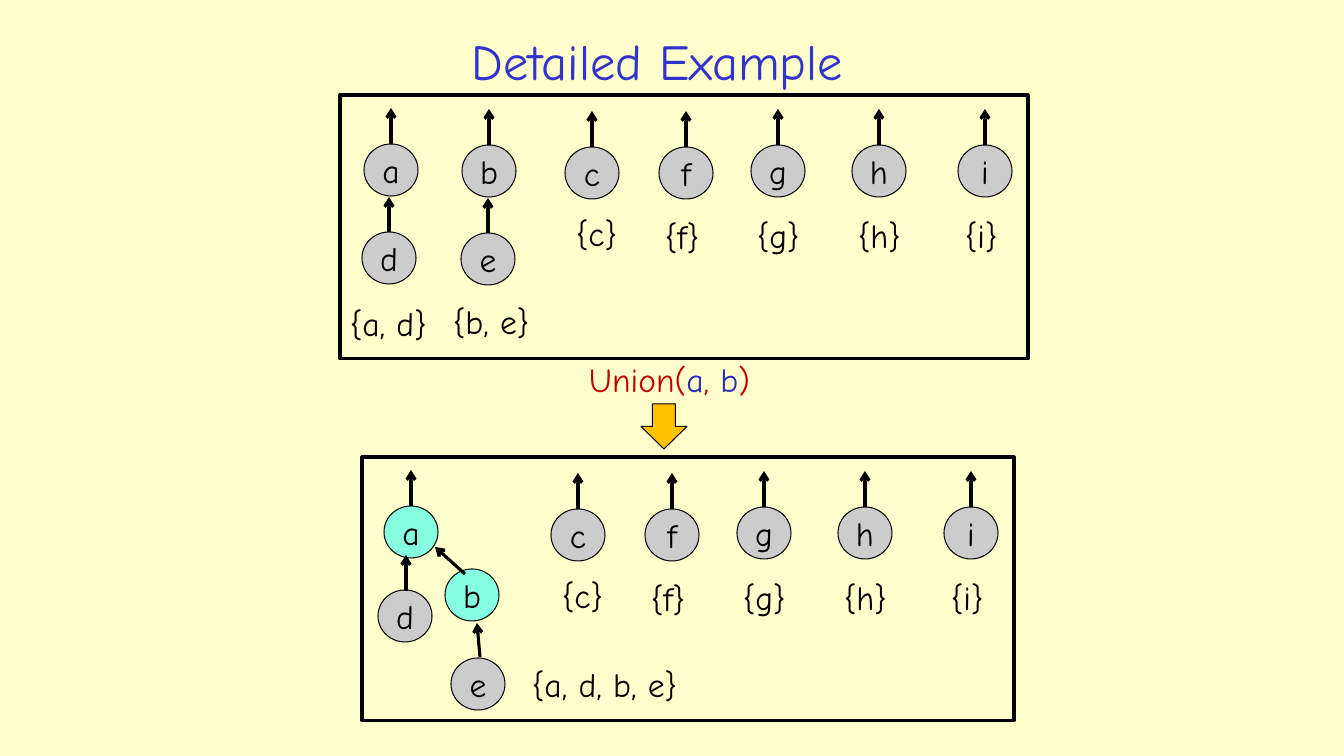
from dataclasses import dataclass

from lxml.etree import SubElement
from pptx import Presentation
from pptx.dml.color import RGBColor
from pptx.enum.shapes import MSO_CONNECTOR, MSO_SHAPE
from pptx.enum.text import MSO_ANCHOR, PP_ALIGN
from pptx.oxml.ns import qn
from pptx.util import Pt


@dataclass(frozen=True)
class Theme:
    font: str = "Comic Neue"
    title_size: int = 36
    body_size: int = 24
    thin: float = 0.75
    thick: float = 2.25
    background: str = "FFFFCC"
    ink: str = "000000"
    title: str = "3333CC"
    call: str = "C00000"
    argument: str = "2D2DB9"
    node: str = "CCCCCC"
    changed_node: str = "85FFE0"
    step: str = "FFC000"


THEME = Theme()
EMU_PER_PX = 914400 / 100.8
SLIDE_SIZE = (1344, 756)
NODE_SIZE = (54, 52)
ROOT_ARROW = 36

TITLE = ("Detailed Example", (206, 26, 903, 69))
UNION_CALL = [("Union(", THEME.call), ("a", THEME.argument), (", ", THEME.call),
              ("b", THEME.argument), (")", THEME.call)]
UNION_BOX = (579, 354, 192, 51)
STEP_BOX = (641, 404, 46, 45)

# letter, node centre, box of the set label
SINGLETONS = [
    ("c", (592, 173), (566, 208, 62, 50)),
    ("f", (686, 173), (655, 211, 62, 50)),
    ("g", (778, 171), (747, 210, 64, 50)),
    ("h", (879, 171), (848, 210, 65, 50)),
    ("i", (985, 171), (955, 210, 54, 50)),
]

# roots and children: letter, centre, fill; edges: child end, parent end
FORESTS = [
    {
        "frame": (340, 95, 688, 264),
        "singleton_shift": (0, 0),
        "roots": [("a", (391, 170), THEME.node), ("b", (489, 171), THEME.node)],
        "children": [("d", (389, 258), THEME.node), ("e", (488, 259), THEME.node)],
        "edges": [((389, 232), (389, 197)), ((488, 233), (488, 198))],
        "sets": [("{a, d}", (340, 298, 102, 51)), ("{b, e}", (443, 296, 103, 50))],
    },
    {
        "frame": (362, 457, 652, 264),
        "singleton_shift": (-14, 362),
        "roots": [("a", (411, 532), THEME.changed_node)],
        "children": [("b", (472, 595), THEME.changed_node),
                     ("d", (405, 616), THEME.node), ("e", (478, 684), THEME.node)],
        "edges": [((406, 591), (406, 555)), ((465, 574), (435, 547)),
                  ((480, 657), (477, 623))],
        "sets": [("{a, d, b, e}", (522, 659, 179, 50))],
    },
]


def emu(lengths):
    return [round(length * EMU_PER_PX) for length in lengths]


def color(code):
    return RGBColor.from_string(code)


def write(frame, text, *, size=THEME.body_size, ink=THEME.ink,
          align=PP_ALIGN.LEFT, anchor=MSO_ANCHOR.TOP, wrap=False):
    """Fill a text frame with a string or with (string, colour) runs."""
    frame.word_wrap = wrap
    frame.vertical_anchor = anchor
    paragraph = frame.paragraphs[0]
    paragraph.alignment = align
    for words, run_ink in [(text, ink)] if isinstance(text, str) else text:
        run = paragraph.add_run()
        run.text = words
        run.font.name = THEME.font
        run.font.size = Pt(size)
        run.font.color.rgb = color(run_ink)


def add_label(slide, text, box, **style):
    write(slide.shapes.add_textbox(*emu(box)).text_frame, text, **style)


def add_outlined(slide, preset, box, width, fill=None):
    shape = slide.shapes.add_shape(preset, *emu(box))
    shape.shadow.inherit = False
    shape.line.color.rgb = color(THEME.ink)
    shape.line.width = Pt(width)
    if fill:
        shape.fill.solid()
        shape.fill.fore_color.rgb = color(fill)
    else:
        shape.fill.background()
    return shape


def add_arrow(slide, start, end):
    arrow = slide.shapes.add_connector(MSO_CONNECTOR.STRAIGHT, *emu(start + end))
    arrow.line.color.rgb = color(THEME.ink)
    arrow.line.width = Pt(THEME.thick)
    SubElement(arrow.line._get_or_add_ln(), qn("a:tailEnd"), type="arrow")
    SubElement(arrow._element.spPr, qn("a:effectLst"))
    return arrow


def add_node(slide, letter, center, fill):
    (x, y), (width, height) = center, NODE_SIZE
    node = add_outlined(slide, MSO_SHAPE.OVAL,
                        (x - width / 2, y - height / 2, width, height), THEME.thin, fill)
    frame = node.text_frame
    frame.margin_left = frame.margin_right = frame.margin_top = frame.margin_bottom = 0
    write(frame, letter, align=PP_ALIGN.CENTER, anchor=MSO_ANCHOR.MIDDLE)
    return node


def add_root(slide, letter, center, fill):
    """Draw a node with the upward arrow that marks a root."""
    node = add_node(slide, letter, center, fill)
    x, top = center[0], center[1] - NODE_SIZE[1] // 2
    add_arrow(slide, (x, top), (x, top - ROOT_ARROW)).begin_connect(node, 0)


def add_forest(slide, forest):
    add_outlined(slide, MSO_SHAPE.RECTANGLE, forest["frame"], THEME.thick)
    for root in forest["roots"]:
        add_root(slide, *root)
    for child in forest["children"]:
        add_node(slide, *child)
    for child_end, parent_end in forest["edges"]:
        add_arrow(slide, child_end, parent_end)
    for members, box in forest["sets"]:
        add_label(slide, members, box)
    dx, dy = forest["singleton_shift"]
    for letter, (x, y), (left, top, width, height) in SINGLETONS:
        add_root(slide, letter, (x + dx, y + dy), THEME.node)
        add_label(slide, f"{{{letter}}}", (left + dx, top + dy, width, height))


def main():
    deck = Presentation()
    deck.slide_width, deck.slide_height = emu(SLIDE_SIZE)
    slide = deck.slides.add_slide(deck.slide_layouts[6])
    slide.background.fill.solid()
    slide.background.fill.fore_color.rgb = color(THEME.background)

    add_label(slide, *TITLE, size=THEME.title_size, ink=THEME.title,
              align=PP_ALIGN.CENTER, anchor=MSO_ANCHOR.MIDDLE, wrap=True)
    add_label(slide, UNION_CALL, UNION_BOX)
    add_outlined(slide, MSO_SHAPE.DOWN_ARROW, STEP_BOX, THEME.thin, THEME.step)
    for forest in FORESTS:
        add_forest(slide, forest)
    deck.save("out.pptx")


if __name__ == "__main__":
    main()
